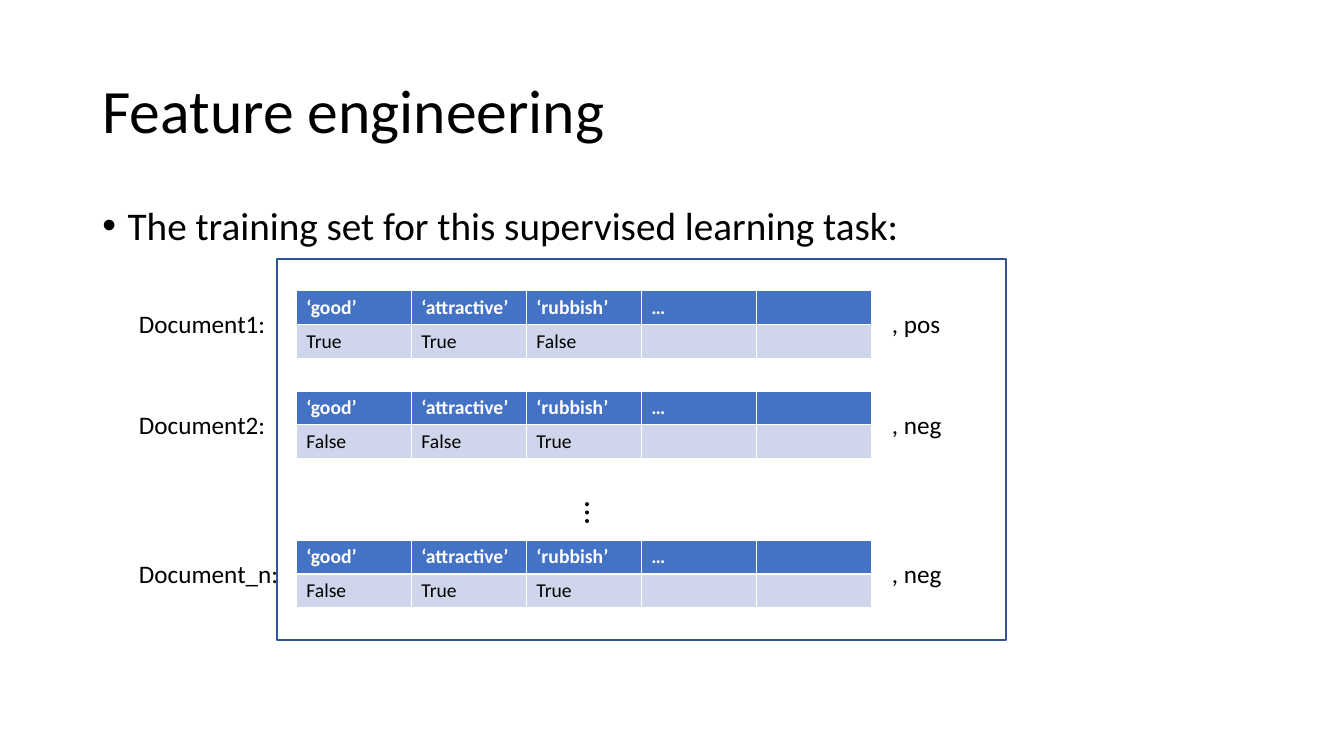
import pptx
import pptx.util
import pptx.dml.color
import pptx.enum.shapes
import pptx.enum.text
import pptx.oxml.ns
import lxml.etree
from dataclasses import dataclass

Pt = pptx.util.Pt
qn = pptx.oxml.ns.qn

TITLE = "Feature engineering"
BULLET = "The training set for this supervised learning task:"
FEATURES = ["‘good’", "‘attractive’", "‘rubbish’", "…", ""]
# label, feature values, class, top of the table, label width
DOCUMENTS = [
    ("Document1:", ["True", "True", "False", "", ""], ", pos", 207.4, 105.8),
    ("Document2:", ["False", "False", "True", "", ""], ", neg", 279.4, 105.8),
    ("Document_n:", ["False", "True", "True", "", ""], ", neg", 385.9, 115.2),
]


@dataclass(frozen=True)
class Theme:
    font: str = "Calibri"
    text: str = "000000"
    paper: str = "FFFFFF"
    frame: str = "325491"
    header: str = "4472C4"
    band: str = "CFD5EA"
    title_size: int = 44
    body_size: int = 28
    dots_size: int = 24
    label_size: int = 18
    cell_size: int = 14


THEME = Theme()
TABLE_LEFT, COLUMN_WIDTH, ROW_HEIGHT = 211.7, 82.15, 24
LABEL_LEFT, CLASS_LEFT, LABEL_DROP = 92.2, 630, 9.4


def rgb(value):
    return pptx.dml.color.RGBColor.from_string(value)


def write(tf, text, size, color=THEME.text, bold=False):
    p = tf.paragraphs[0]
    p.text = text
    for r in p.runs:
        r.font.name = THEME.font
        r.font.size = Pt(size)
        r.font.bold = bold
        r.font.color.rgb = rgb(color)
    if not text:  # an empty cell takes its height from the end mark
        lxml.etree.SubElement(p._p, qn("a:endParaRPr"), sz=str(size * 100))
    return p


def place(sp, left, top, width, height):
    sp.left, sp.top, sp.width, sp.height = map(Pt, (left, top, width, height))


def add_label(slide, text, size, left, top, width, height):
    sp = slide.shapes.add_textbox(*map(Pt, (left, top, width, height)))
    tf = sp.text_frame
    tf.word_wrap = False
    tf.auto_size = pptx.enum.text.MSO_AUTO_SIZE.SHAPE_TO_FIT_TEXT
    write(tf, text, size)
    return sp


def add_feature_table(slide, values, top):
    rows = [FEATURES, values]
    width, height = COLUMN_WIDTH * len(FEATURES), ROW_HEIGHT * len(rows)
    table = slide.shapes.add_table(
        len(rows), len(FEATURES), *map(Pt, (TABLE_LEFT, top, width, height))).table
    looks = [(THEME.header, THEME.paper, True), (THEME.band, THEME.text, False)]
    for i, (row, (fill, color, bold)) in enumerate(zip(rows, looks)):
        for j, text in enumerate(row):
            cell = table.cell(i, j)
            cell.fill.solid()
            cell.fill.fore_color.rgb = rgb(fill)
            write(cell.text_frame, text, THEME.cell_size, color, bold)


def add_frame(slide):
    """Add the outlined box behind everything else."""
    sp = slide.shapes.add_shape(pptx.enum.shapes.MSO_SHAPE.RECTANGLE,
                                *map(Pt, (198, 185, 520.6, 272.2)))
    sp.shadow.inherit = False
    sp.fill.solid()
    sp.fill.fore_color.rgb = rgb(THEME.paper)
    sp.line.color.rgb = rgb(THEME.frame)
    sp.line.width = Pt(1)
    slide.shapes._spTree.insert(2, sp._element)


def fill_placeholders(slide):
    title, body = slide.shapes.title, slide.placeholders[1]
    place(title, 66, 28.8, 828, 104.4)
    place(body, 66, 144, 828, 342.7)
    title.text_frame.vertical_anchor = pptx.enum.text.MSO_ANCHOR.MIDDLE
    heading = write(title.text_frame, TITLE, THEME.title_size)
    bullet = write(body.text_frame, BULLET, THEME.body_size)
    for p in (heading, bullet):
        p.alignment = pptx.enum.text.PP_ALIGN.LEFT
        p.line_spacing = 0.9
    bullet.space_before = Pt(10)
    pPr = bullet._p.get_or_add_pPr()
    pPr.set("marL", str(Pt(18)))
    pPr.set("indent", str(-Pt(18)))
    lxml.etree.SubElement(pPr, qn("a:buFont"), typeface="Arial")
    lxml.etree.SubElement(pPr, qn("a:buChar"), char="•")


def main():
    prs = pptx.Presentation()
    prs.slide_width, prs.slide_height = Pt(960), Pt(540)
    slide = prs.slides.add_slide(prs.slide_layouts[1])
    fill_placeholders(slide)
    add_frame(slide)
    for label, values, outcome, top, width in DOCUMENTS:
        add_feature_table(slide, values, top)
        label_top = top + LABEL_DROP
        add_label(slide, label, THEME.label_size, LABEL_LEFT, label_top, width, 29)
        add_label(slide, outcome, THEME.label_size, CLASS_LEFT, label_top, 50, 29)
    dots = add_label(slide, "…", THEME.dots_size, 401.8, 351.4, 43.9, 23.8)
    dots.text_frame._txBody.bodyPr.set("vert", "eaVert")
    prs.save("out.pptx")


if __name__ == "__main__":
    main()
